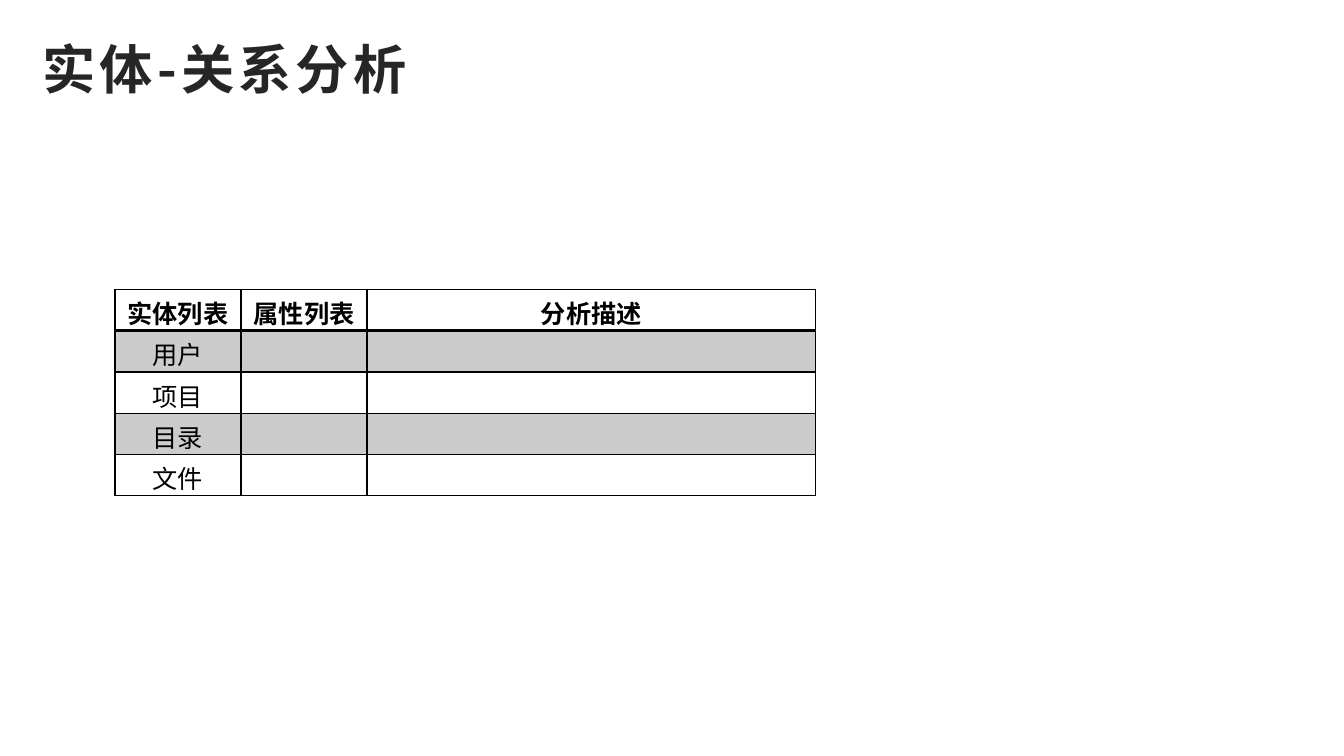
import dataclasses

import lxml.etree
import pptx
import pptx.dml.color
import pptx.enum.text
import pptx.oxml.ns
import pptx.util

Inches = pptx.util.Inches
Pt = pptx.util.Pt
RGB = pptx.dml.color.RGBColor
qn = pptx.oxml.ns.qn
MID = pptx.enum.text.MSO_ANCHOR.MIDDLE
CENTER = pptx.enum.text.PP_ALIGN.CENTER


@dataclasses.dataclass(frozen=True)
class Theme:
    dark: RGB = RGB(0x26, 0x26, 0x26)
    black: RGB = RGB(0, 0, 0)
    band: int = 20  # opacity of shaded rows, percent
    head: Pt = Pt(38)
    body: Pt = Pt(18)
    cjk: str = "Noto Sans CJK SC"
    latin: str = "Arial"


THEME = Theme()
HEADS = ["实体列表", "属性列表", "分析描述"]
ITEMS = ["用户", "项目", "目录", "文件"]
WIDTHS = [1.25, 1.25, 4.45]
ROW = 0.41


def style(font, form):
    """Set font attributes from a dict; 'color' takes an RGB value."""
    for key, value in form.items():
        if key == "color":
            font.color.rgb = value
        else:
            setattr(font, key, value)


def write(para, text, form):
    run = para.add_run()
    run.text = text
    style(run.font, form)
    props = run._r.get_or_add_rPr()
    lxml.etree.SubElement(props, qn("a:ea"), typeface=THEME.cjk)
    return props


def add_title(slide, text):
    box = slide.shapes.add_textbox(
        Inches(0.32), Inches(0.19), Inches(12.68), Inches(0.97))
    frame = box.text_frame
    frame.word_wrap = True
    frame.vertical_anchor = MID
    form = dict(name=THEME.cjk, size=THEME.head, bold=True, color=THEME.dark)
    props = write(frame.paragraphs[0], text, form)
    props.set("spc", "300")


def add_edges(cell, sizes):
    """Draw the cell borders; sizes maps a side (L, R, T, B) to points."""
    props = cell._tc.get_or_add_tcPr()
    for spot, (side, size) in enumerate(sizes.items()):
        line = props.makeelement(qn("a:ln" + side), {"w": str(Pt(size))})
        fill = lxml.etree.SubElement(line, qn("a:solidFill"))
        lxml.etree.SubElement(fill, qn("a:srgbClr"), val=str(THEME.black))
        props.insert(spot, line)


def shade(cell, on):
    if not on:
        cell.fill.background()
        return
    cell.fill.solid()
    cell.fill.fore_color.rgb = THEME.black
    color = cell._tc.tcPr.find(qn("a:solidFill")).find(qn("a:srgbClr"))
    lxml.etree.SubElement(color, qn("a:alpha"), val=str(THEME.band * 1000))


def add_grid(slide, rows):
    table = slide.shapes.add_table(
        len(rows), len(WIDTHS), Inches(1.14), Inches(2.87),
        Inches(sum(WIDTHS)), Inches(ROW * len(rows))).table
    table.first_row = table.horz_banding = False
    for col, width in zip(table.columns, WIDTHS):
        col.width = Inches(width)
    for r, texts in enumerate(rows):
        table.rows[r].height = Inches(ROW)
        form = dict(name=THEME.latin, size=THEME.body, bold=r == 0,
                    color=THEME.black)
        sizes = dict(L=1, R=1, T=2 if r == 1 else 1, B=2 if r == 0 else 1)
        for c, text in enumerate(texts):
            cell = table.cell(r, c)
            cell.vertical_anchor = MID
            para = cell.text_frame.paragraphs[0]
            para.alignment = CENTER
            if text:
                write(para, text, form)
            shade(cell, r % 2 == 1)
            add_edges(cell, sizes)


def main():
    deck = pptx.Presentation()
    deck.slide_width = Inches(13.33)
    deck.slide_height = Inches(7.5)
    slide = deck.slides.add_slide(deck.slide_layouts[6])
    add_title(slide, "实体-关系分析")
    add_grid(slide, [HEADS] + [[item, "", ""] for item in ITEMS])
    deck.save("out.pptx")


if __name__ == "__main__":
    main()
